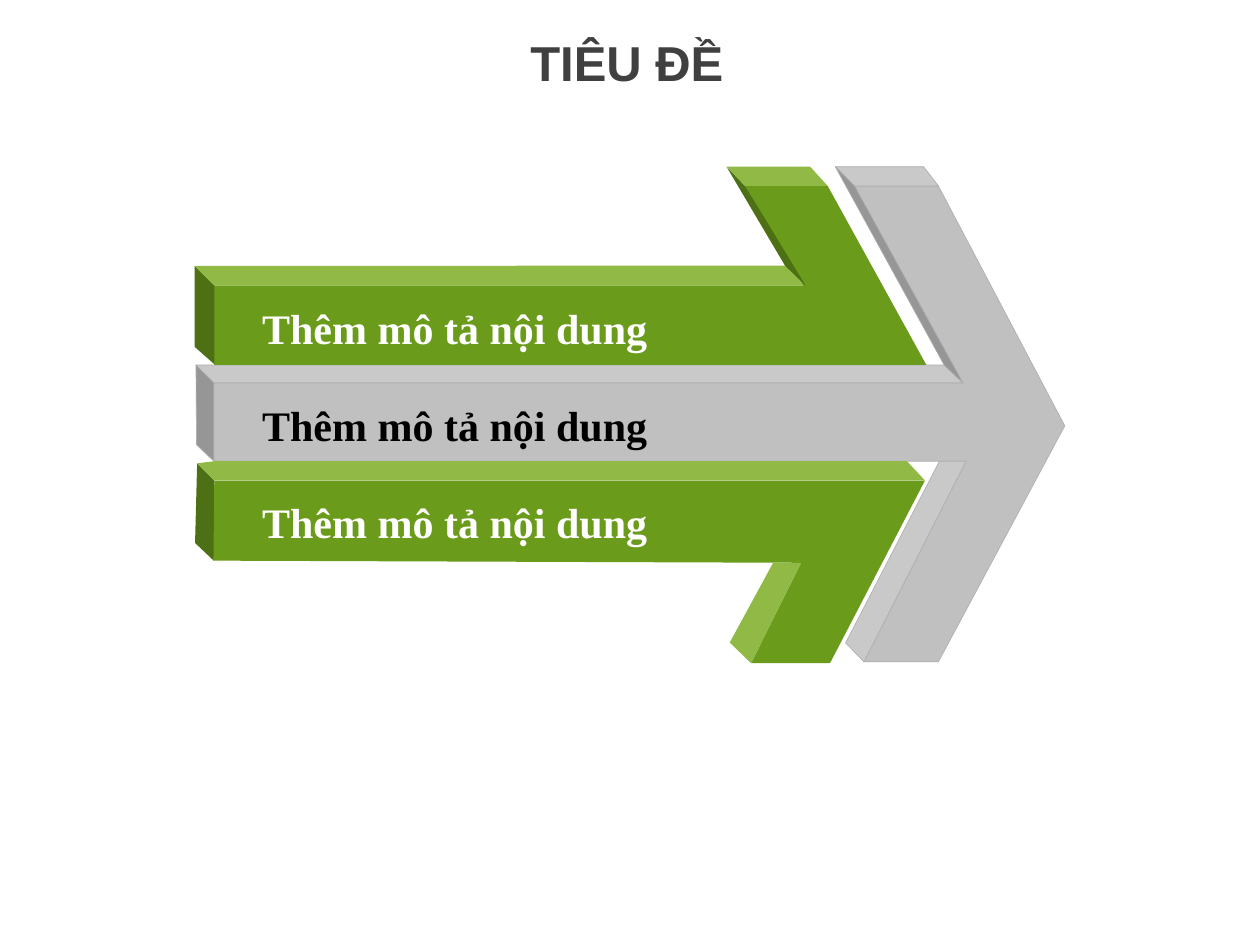
from pptx import Presentation
from pptx.dml.color import RGBColor
from pptx.enum.text import MSO_AUTO_SIZE
from pptx.util import Pt

GRAY = RGBColor(0xC0, 0xC0, 0xC0)
GRAY_LIGHT = RGBColor(0xC9, 0xC9, 0xC9)
GRAY_DARK = RGBColor(0x96, 0x96, 0x96)
GRAY_EDGE = RGBColor(0xAE, 0xAE, 0xAE)
GREEN = RGBColor(0x6B, 0x9B, 0x1A)
GREEN_LIGHT = RGBColor(0x90, 0xBA, 0x45)
GREEN_DARK = RGBColor(0x4C, 0x70, 0x13)
BLACK = RGBColor(0, 0, 0)
WHITE = RGBColor(0xFF, 0xFF, 0xFF)
TITLE_COLOR = RGBColor(0x40, 0x40, 0x40)

TITLE = "TIÊU ĐỀ"
LABELS = [
    ("Thêm mô tả nội dung", WHITE),
    ("Thêm mô tả nội dung", BLACK),
    ("Thêm mô tả nội dung", WHITE),
]
LABEL_TOP, LABEL_STEP = 172.8, 55.4

MIDDLE_ARROW = [
    (GRAY_LIGHT, [(112, 208.6), (122.3, 218.9), (550.3, 218.9), (539.5, 208.6)]),
    (GRAY_DARK, [(122.3, 218.9), (122.3, 263.6), (112.3, 254.2), (112, 208.6)]),
    (GRAY, [(122.3, 263.6), (552, 263.6), (493.7, 378.2), (536.3, 378.2),
            (608.5, 243.4), (536.3, 106.3), (488.3, 106.3), (550.3, 218.9),
            (122.3, 218.9)]),
    (GRAY_LIGHT, [(488.3, 106.3), (477.3, 95.3), (527.8, 95.3), (536.3, 106.3)]),
    (GRAY_LIGHT, [(493.7, 378.2), (483.2, 367.4), (536.8, 263.6), (552, 263.6)]),
    (GRAY_DARK, [(539.5, 208.6), (477.3, 95.3), (488.3, 106.3), (550.3, 218.9)]),
]
LOWER_ARROW = [
    (GREEN_DARK, [(112.7, 264.8), (122.6, 274.6), (122.2, 320.4), (111.5, 310.3)]),
    (GREEN, [(122.5, 274.6), (528.6, 274.6), (474.3, 379), (429.2, 379),
             (457.8, 321.6), (122, 320.4)]),
    (GREEN_LIGHT, [(112.6, 264.8), (122.5, 263.6), (518.3, 263.6), (528.6, 274.6),
                   (122.5, 274.6)]),
    (GREEN_LIGHT, [(429.2, 379), (417, 367.2), (441.8, 321.6), (457.8, 321.6)]),
]
UPPER_ARROW = [
    (GREEN_DARK, [(122.9, 208.5), (122.9, 163.3), (111.2, 152), (111.2, 198.2)]),
    (GREEN_LIGHT, [(122.5, 163.3), (460.4, 163.3), (449, 151.8), (111.2, 152)]),
    (GREEN, [(122.5, 208.5), (529.3, 208.5), (473, 106.3), (425.8, 106.3),
             (459.2, 163.3), (122.5, 163.3)]),
    (GREEN_DARK, [(448.6, 151.8), (415.2, 95.3), (425.8, 106.3), (460.4, 163.3)]),
    (GREEN_LIGHT, [(415.2, 95.3), (463, 95.3), (473, 106.3), (425.8, 106.3)]),
]
ARROWS = [(MIDDLE_ARROW, GRAY_EDGE), (LOWER_ARROW, None), (UPPER_ARROW, None)]


def add_face(shapes, points, fill, edge):
    start, *rest = [(Pt(x), Pt(y)) for x, y in points]
    builder = shapes.build_freeform(*start)
    builder.add_line_segments(rest, close=True)
    sp = builder.convert_to_shape()
    sp.shadow.inherit = False
    sp.fill.solid()
    sp.fill.fore_color.rgb = fill
    if edge is None:
        sp.line.fill.background()
    else:
        sp.line.color.rgb = edge
        sp.line.width = Pt(0.37)


def add_text(shapes, box, text, font, size, color, wrap, margins):
    tf = shapes.add_textbox(*map(Pt, box)).text_frame
    tf.word_wrap = wrap
    tf.auto_size = MSO_AUTO_SIZE.SHAPE_TO_FIT_TEXT
    tf.margin_left = tf.margin_right = Pt(margins[0])
    tf.margin_top = tf.margin_bottom = Pt(margins[1])
    p = tf.paragraphs[0]
    p.text = text
    p.font.name = font
    p.font.size = Pt(size)
    p.font.bold = True
    p.font.color.rgb = color
    return p


def main():
    prs = Presentation()
    prs.slide_width, prs.slide_height = Pt(720), Pt(540)
    shapes = prs.slides.add_slide(prs.slide_layouts[6]).shapes

    for faces, edge in ARROWS:
        group = shapes.add_group_shape()
        for fill, points in faces:
            add_face(group.shapes, points, fill, edge)

    for i, (text, color) in enumerate(LABELS):
        box = (149.8, LABEL_TOP + i * LABEL_STEP, 308, 29)
        p = add_text(shapes, box, text, "Times New Roman", 24, color, True, (0, 0))
        p.space_after = Pt(12)

    add_text(shapes, (296, 15.1, 124.6, 41), TITLE, "Arial", 28, TITLE_COLOR,
             False, (7.2, 3.6))
    prs.save("out.pptx")


if __name__ == "__main__":
    main()
